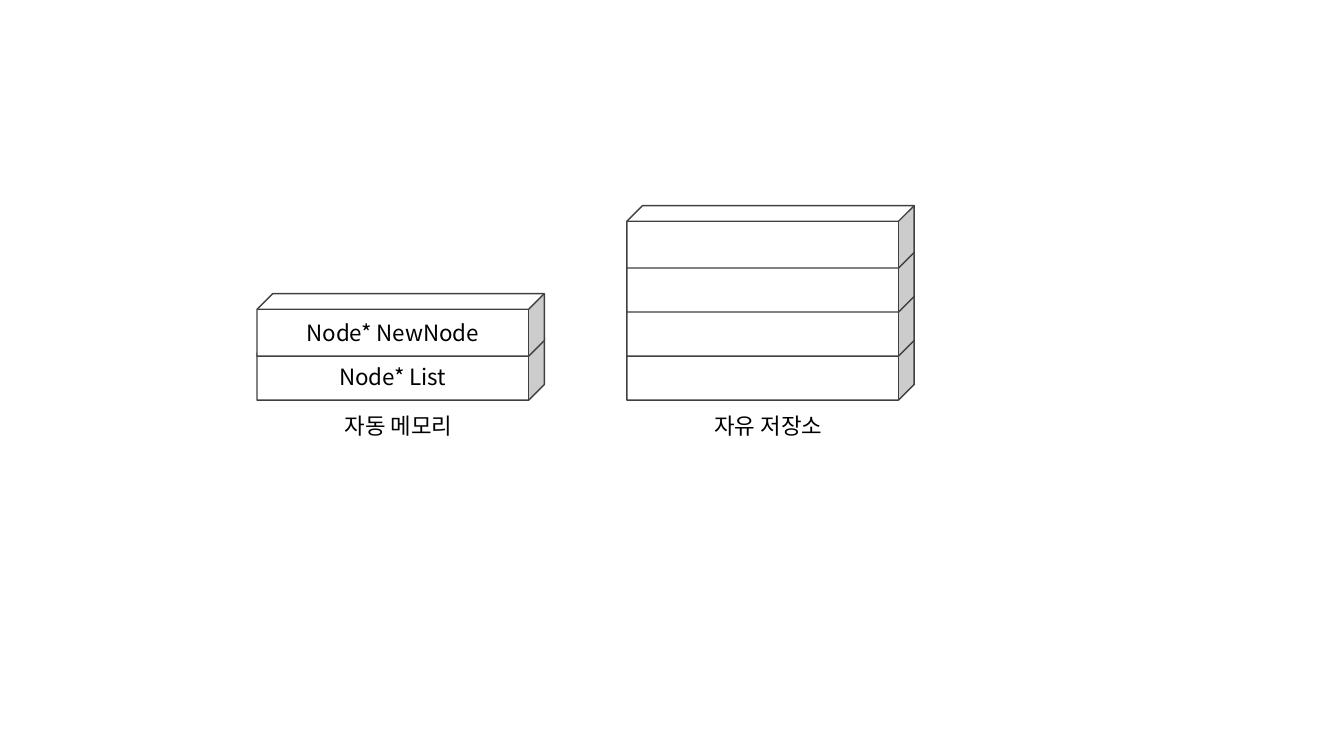
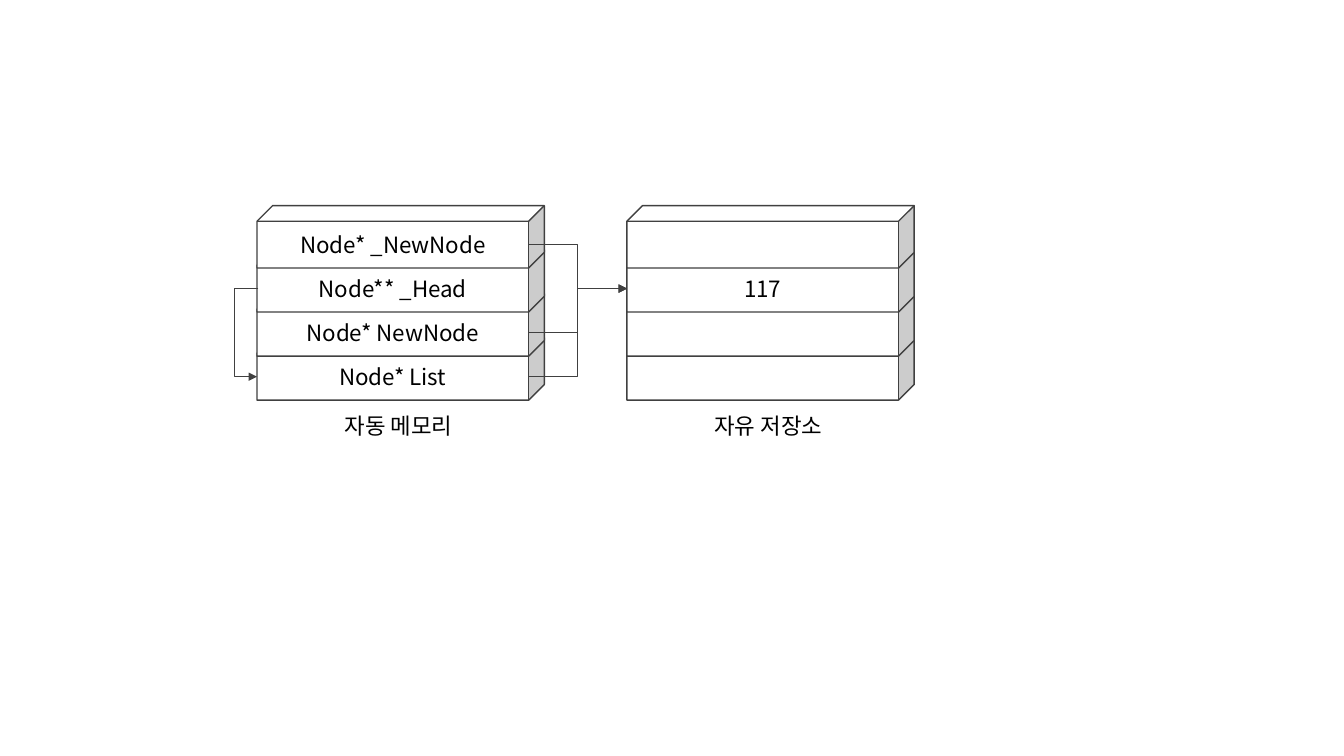
from lxml.etree import SubElement
from pptx import Presentation
from pptx.dml.color import RGBColor
from pptx.enum.shapes import MSO_CONNECTOR, MSO_SHAPE
from pptx.enum.text import MSO_ANCHOR, MSO_AUTO_SIZE, PP_ALIGN
from pptx.oxml.ns import qn
from pptx.util import Pt

AUTO_X, FREE_X = 183.6, 447.8
BOTTOM_CELL_Y, CELL_PITCH = 241.2, 31.45
CELL_W, CELL_H = 205.2, 44.6
DEPTH = CELL_H / 4
FRONT_W = CELL_W - DEPTH


def color(hex_code):
    return RGBColor.from_string(hex_code)


def cell_middle(level):
    return BOTTOM_CELL_Y - level * CELL_PITCH + (CELL_H + DEPTH) / 2


class MemoryDiagram:
    """Draws stacks of memory cells and the pointers between them."""

    font = "Noto Sans CJK KR"
    text_size = 16
    ink, outline, face = "000000", "404040", "FFFFFF"

    def __init__(self):
        self.deck = Presentation()
        self.deck.slide_width, self.deck.slide_height = Pt(960), Pt(540)
        self.slide = None

    def new_slide(self):
        self.slide = self.deck.slides.add_slide(self.deck.slide_layouts[6])

    def styled_run(self, paragraph, text):
        run = paragraph.add_run()
        run.text = text
        run.font.name = self.font
        run.font.size = Pt(self.text_size)
        run.font.color.rgb = color(self.ink)
        SubElement(run.font._element, qn("a:ea"), typeface=self.font)

    def cell(self, group, x, y, text):
        cube = group.shapes.add_shape(
            MSO_SHAPE.CUBE, Pt(x), Pt(y), Pt(CELL_W), Pt(CELL_H))
        cube.shadow.inherit = False
        cube.fill.solid()
        cube.fill.fore_color.rgb = color(self.face)
        cube.line.color.rgb = color(self.outline)
        cube.line.width = Pt(1)
        if text:
            frame = cube.text_frame
            frame.vertical_anchor = MSO_ANCHOR.MIDDLE
            frame.paragraphs[0].alignment = PP_ALIGN.CENTER
            self.styled_run(frame.paragraphs[0], text)

    def caption(self, group, x, text):
        box = group.shapes.add_textbox(Pt(x + 55.4), Pt(290.9), Pt(95), Pt(26.6))
        box.text_frame.word_wrap = False
        box.text_frame.auto_size = MSO_AUTO_SIZE.SHAPE_TO_FIT_TEXT
        self.styled_run(box.text_frame.paragraphs[0], text)

    def stack(self, x, title, cells):
        group = self.slide.shapes.add_group_shape()
        for level, text in enumerate(cells):
            self.cell(group, x, BOTTOM_CELL_Y - level * CELL_PITCH, text)
        self.caption(group, x, title)

    def pointer(self, start_x, start_level, end_x, end_level, bend=0.5):
        arrow = self.slide.shapes.add_connector(
            MSO_CONNECTOR.ELBOW, Pt(start_x), Pt(cell_middle(start_level)),
            Pt(end_x), Pt(cell_middle(end_level)))
        arrow.line.color.rgb = color(self.outline)
        arrow.line.width = Pt(0.5)
        SubElement(arrow.line._get_or_add_ln(), qn("a:tailEnd"), type="triangle")
        properties = arrow._element.spPr
        SubElement(properties, qn("a:effectLst"))
        guides = properties.find(qn("a:prstGeom")).find(qn("a:avLst"))
        SubElement(guides, qn("a:gd"), name="adj1", fmla=f"val {round(bend * 100000)}")


def main():
    diagram = MemoryDiagram()
    pointers = ["Node* List", "Node* NewNode"]
    memory_states = [
        (pointers, [""] * 4),
        (pointers + ["Node** _Head", "Node* _NewNode"], ["", "", "117", ""]),
    ]
    for automatic, free_store in memory_states:
        diagram.new_slide()
        diagram.stack(AUTO_X, "자동 메모리", automatic)
        diagram.stack(FREE_X, "자유 저장소", free_store)

    node_level, list_level, head_level = 2, 0, 2
    for source_level in (0, 1, 3):
        diagram.pointer(AUTO_X + FRONT_W, source_level, FREE_X, node_level)
    diagram.pointer(AUTO_X + 1, head_level, AUTO_X, list_level, bend=17.6)

    diagram.deck.save("out.pptx")


if __name__ == "__main__":
    main()
